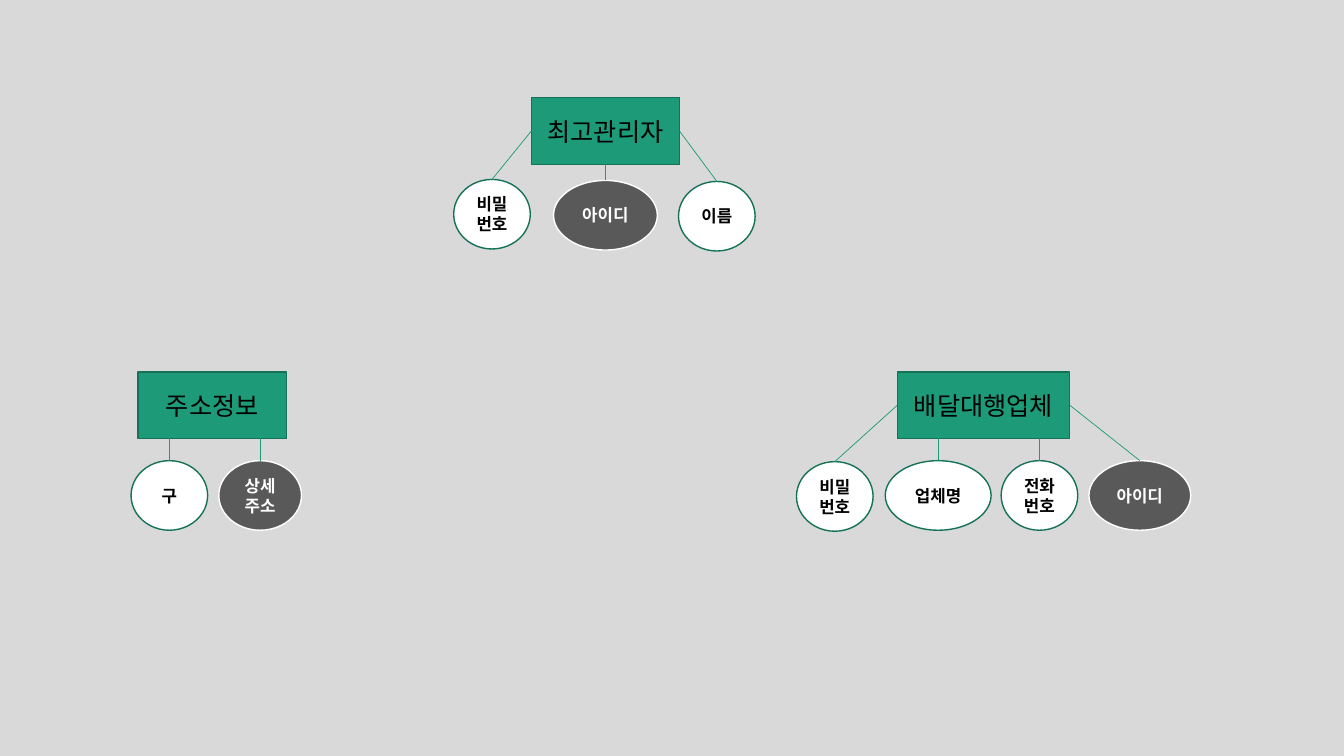
from lxml.etree import SubElement
from pptx import Presentation
from pptx.dml.color import RGBColor
from pptx.enum.shapes import MSO_CONNECTOR as Link, MSO_SHAPE as Shape
from pptx.enum.text import MSO_ANCHOR as Anchor, PP_ALIGN as Align
from pptx.oxml.ns import qn
from pptx.util import Inches, Pt

CELL = 0.1  # grid cell in inches, for columns and rows
BOX_ROWS, OVAL_ROWS = 6.6, 6.9
TOP, LEFT, BOTTOM, RIGHT = range(4)
BELOW = None  # leaves the bottom edge straight above the attribute


def colour(code):
    return RGBColor.from_string(code)


def grid(cells):
    return Inches(cells * CELL)


class Diagram:
    font = "Noto Sans CJK KR"
    green, edge, dark = "1D9A78", "157259", "595959"
    white, black, backdrop = "FFFFFF", "000000", "D9D9D9"

    def __init__(self, deck):
        self.page = deck.slides.add_slide(deck.slide_layouts[6])
        fill = self.page.background.fill
        fill.solid()
        fill.fore_color.rgb = colour(self.backdrop)

    def node(self, kind, text, place, fill, line, ink, size, bold):
        node = self.page.shapes.add_shape(kind, *map(grid, place))
        node.shadow.inherit = False
        node.fill.solid()
        node.fill.fore_color.rgb = colour(fill)
        node.line.color.rgb = colour(line)
        node.line.width = Pt(1)
        frame = node.text_frame
        frame.word_wrap = True
        frame.vertical_anchor = Anchor.MIDDLE
        para = frame.paragraphs[0]
        para.alignment = Align.CENTER
        span = para.add_run()
        span.text = text
        span.font.name = self.font
        span.font.size = Pt(size)
        span.font.bold = bold
        span.font.color.rgb = colour(ink)
        SubElement(span.font._element, qn("a:ea"), typeface=self.font)
        return node

    def entity(self, text, left, top, width):
        return self.node(Shape.RECTANGLE, text, (left, top, width, BOX_ROWS),
                         self.green, self.edge, self.black, 18, False)

    def attribute(self, text, left, top, width, is_key):
        fill, line, ink = ((self.dark, self.white, self.white) if is_key
                           else (self.white, self.edge, self.black))
        return self.node(Shape.FLOWCHART_CONNECTOR, text,
                         (left, top, width, OVAL_ROWS), fill, line, ink, 12, True)

    def link(self, box, oval, side):
        middle = oval.left + oval.width // 2
        line = self.page.shapes.add_connector(
            Link.STRAIGHT, middle, box.top + box.height, middle, oval.top)
        if side is not BELOW:
            line.begin_connect(box, side)
        line.end_connect(oval, TOP)
        line.line.color.rgb = colour(self.green)
        line.line.width = Pt(0.5)
        SubElement(line._element.spPr, qn("a:effectLst"))


# Entity: name, left, top, width; attribute: name, left, top, width, key, side
ENTITIES = [
    (("최고관리자", 52.7, 9.7, 14.7), [
        ("비밀번호", 45, 17.8, 7.6, False, LEFT),
        ("이름", 67.3, 18, 7.6, False, RIGHT),
        ("아이디", 54.9, 17.9, 10.3, True, BOTTOM)]),
    (("주소정보", 13.7, 36.9, 14.7), [
        ("구", 13, 45.7, 7.6, False, BELOW),
        ("상세주소", 21.7, 45.7, 8.2, True, BELOW)]),
    (("배달대행업체", 89, 36.9, 17.1), [
        ("전화번호", 99.3, 45.7, 7.6, False, BELOW),
        ("아이디", 108, 45.7, 10.1, True, RIGHT),
        ("업체명", 87.8, 45.7, 10.5, False, BELOW),
        ("비밀번호", 79, 45.8, 7.6, False, LEFT)]),
]


def main():
    deck = Presentation()
    deck.slide_width, deck.slide_height = Inches(13.33), Inches(7.5)
    diagram = Diagram(deck)

    # Each entity with its attributes and their links
    for entity, attributes in ENTITIES:
        box = diagram.entity(*entity)
        for *attribute, side in attributes:
            oval = diagram.attribute(*attribute)
            diagram.link(box, oval, side)

    deck.save("out.pptx")


if __name__ == "__main__":
    main()
